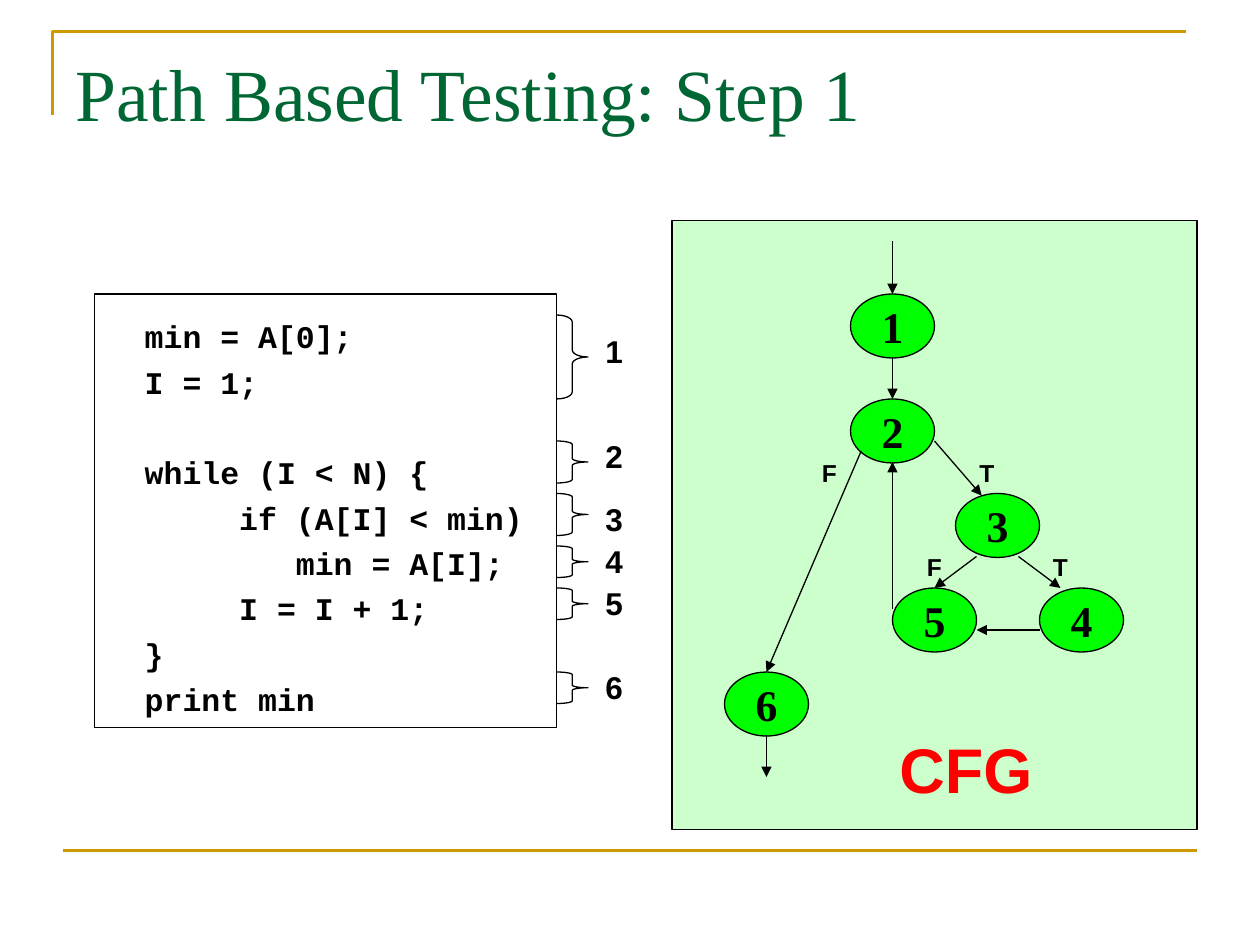
import pptx
import pptx.dml.color
import pptx.enum.shapes
import pptx.enum.text
import pptx.oxml
import pptx.util
from dataclasses import dataclass

Cm = pptx.util.Cm
Pt = pptx.util.Pt
Kind = pptx.enum.shapes.MSO_SHAPE
Align = pptx.enum.text.PP_ALIGN
Anchor = pptx.enum.text.MSO_ANCHOR


@dataclass(frozen=True)
class Theme:
    ink: str = "000000"
    gold: str = "CC9900"
    heading: str = "006633"
    panel: str = "CCFFCC"
    node: str = "00FF00"
    caption: str = "FF0000"
    serif: str = "Times New Roman"
    sans: str = "Arial"
    mono: str = "Courier New"
    title_size: float = 42
    caption_size: float = 36
    node_size: float = 25
    code_size: float = 18
    code_pitch: float = 25.92
    number_size: float = 18
    branch_size: float = 14
    thin: float = 0.75
    medium: float = 1
    thick: float = 1.5


def color(value):
    return pptx.dml.color.RGBColor.from_string(value)


def grid(*counts):
    """Lengths on a grid of twelve steps to the inch."""
    return [Cm(count * 2.54 / 12) for count in counts]


class SlideBuilder:
    def __init__(self, slide, theme):
        self.slide = slide
        self.theme = theme

    def outline(self, item, width, line_color=None):
        item.line.color.rgb = color(line_color or self.theme.ink)
        item.line.width = Pt(width)

    def shape(self, kind, box, fill=None, width=None):
        shape = self.slide.shapes.add_shape(kind, *grid(*box))
        shape.shadow.inherit = False
        if fill:
            shape.fill.solid()
            shape.fill.fore_color.rgb = color(fill)
        else:
            shape.fill.background()
        self.outline(shape, width or self.theme.thin)
        return shape

    def run(self, paragraph, text, size, font, text_color, bold=True):
        run = paragraph.add_run()
        run.text = text
        run.font.size = Pt(size)
        run.font.name = font
        run.font.bold = bold
        run.font.color.rgb = color(text_color)

    def text(self, box, text, size, font, text_color=None, bold=True,
             align=Align.CENTER, top=0.13):
        frame = self.slide.shapes.add_textbox(*grid(*box)).text_frame
        frame.word_wrap = True
        frame.margin_top = Cm(top)
        paragraph = frame.paragraphs[0]
        paragraph.alignment = align
        self.run(paragraph, text, size, font, text_color or self.theme.ink, bold)

    def line(self, start, end, width, line_color=None, arrow=False):
        connector = self.slide.shapes.add_connector(
            pptx.enum.shapes.MSO_CONNECTOR.STRAIGHT, *grid(*start, *end))
        self.outline(connector, width, line_color)
        properties = connector._element.spPr
        if arrow:
            properties.get_or_add_ln().append(pptx.oxml.parse_xml(
                '<a:tailEnd xmlns:a="http://schemas.openxmlformats.org/'
                'drawingml/2006/main" type="triangle"/>'))
        properties.append(pptx.oxml.parse_xml(
            '<a:effectLst xmlns:a="http://schemas.openxmlformats.org/'
            'drawingml/2006/main"/>'))

    def corner(self, points):
        start, *others = [grid(*point) for point in points]
        builder = self.slide.shapes.build_freeform(*start)
        builder.add_line_segments(others, close=False)
        shape = builder.convert_to_shape()
        shape.shadow.inherit = False
        shape.fill.background()
        self.outline(shape, self.theme.thick, self.theme.gold)

    def node(self, label, left, top):
        shape = self.shape(Kind.OVAL, (left, top, 8, 6.1), self.theme.node)
        frame = shape.text_frame
        frame.word_wrap = False
        frame.vertical_anchor = Anchor.MIDDLE
        paragraph = frame.paragraphs[0]
        paragraph.alignment = Align.CENTER
        self.run(paragraph, label, self.theme.node_size, self.theme.serif,
                 self.theme.ink)

    def code(self, box, code):
        theme = self.theme
        frame = self.shape(Kind.RECTANGLE, box).text_frame
        frame.word_wrap = True
        frame.vertical_anchor = Anchor.TOP
        frame.margin_left = frame.margin_right = Cm(0.25)
        frame.margin_top, frame.margin_bottom = Cm(0.32), Cm(0.2)
        for index, block in enumerate(code):
            for row, text in enumerate(block):
                first = index == row == 0
                paragraph = frame.paragraphs[0] if first else frame.add_paragraph()
                paragraph.alignment = Align.LEFT
                paragraph.line_spacing = Pt(theme.code_pitch)
                if index and row == 0:
                    paragraph.space_before = Pt(theme.code_pitch)
                self.run(paragraph, text, theme.code_size, theme.mono, theme.ink)

    def brace(self, top, height):
        width = 3
        shape = self.shape(Kind.RIGHT_BRACE, (53, top, width, height))
        shape.adjustments[0] = height / 12 / width


CODE = [
    ["  min = A[0];",
     "  I = 1;"],
    ["  while (I < N) {",
     "       if (A[I] < min)",
     "          min = A[I];",
     "       I = I + 1;",
     "  }",
     "  print min"],
]
# Statement number: brace top, brace height, number top
STATEMENTS = {"1": (30, 8, 31), "2": (42, 4, 41), "3": (47, 4, 47),
              "4": (52, 3, 51), "5": (56, 3, 55), "6": (64, 3, 63)}
NODES = {"1": (81, 28), "2": (81, 38), "3": (91, 47),
         "4": (99, 56), "5": (85, 56), "6": (69, 64)}
EDGES = [((85, 23), (85, 28)), ((85, 34), (85, 38)), ((89, 42), (93.5, 47.2)),
         ((93, 53), (89, 56)), ((97, 53), (101, 56)), ((82, 43), (73, 64)),
         ((73, 70), (73, 74)), ((99, 60), (93, 60)), ((85, 58), (85, 44))]
BRANCHES = [("T", 91, 43), ("F", 76, 43), ("T", 98, 52), ("F", 86, 52)]


def main():
    presentation = pptx.Presentation()
    presentation.slide_width, presentation.slide_height = grid(120, 90)
    slide = presentation.slides.add_slide(presentation.slide_layouts[6])
    theme = Theme()
    builder = SlideBuilder(slide, theme)

    # Frame lines and title
    builder.corner([(5, 11), (5, 3), (113, 3)])
    builder.line((6, 81), (114, 81), theme.thick, theme.gold)
    builder.text((6, 3.6, 108, 15), "Path Based Testing: Step 1",
                 theme.title_size, theme.serif, theme.heading, bold=False,
                 align=Align.LEFT, top=0.2)

    # Control flow graph
    builder.shape(Kind.RECTANGLE, (64, 21, 50, 58), theme.panel, theme.medium)
    builder.text((83, 69, 18, 8.4), "CFG", theme.caption_size, theme.sans,
                 theme.caption)
    for label, position in NODES.items():
        builder.node(label, *position)
    for start, end in EDGES:
        builder.line(start, end, theme.thin, arrow=True)
    for label, left, top in BRANCHES:
        builder.text((left, top, 6, 4.1), label, theme.branch_size, theme.sans)

    # Code with numbered statements
    builder.code((9, 28, 44, 41.3), CODE)
    for number, (top, height, number_top) in STATEMENTS.items():
        builder.brace(top, height)
        builder.text((56, number_top, 5, 4.8), number, theme.number_size,
                     theme.sans)

    presentation.save("out.pptx")


if __name__ == "__main__":
    main()
